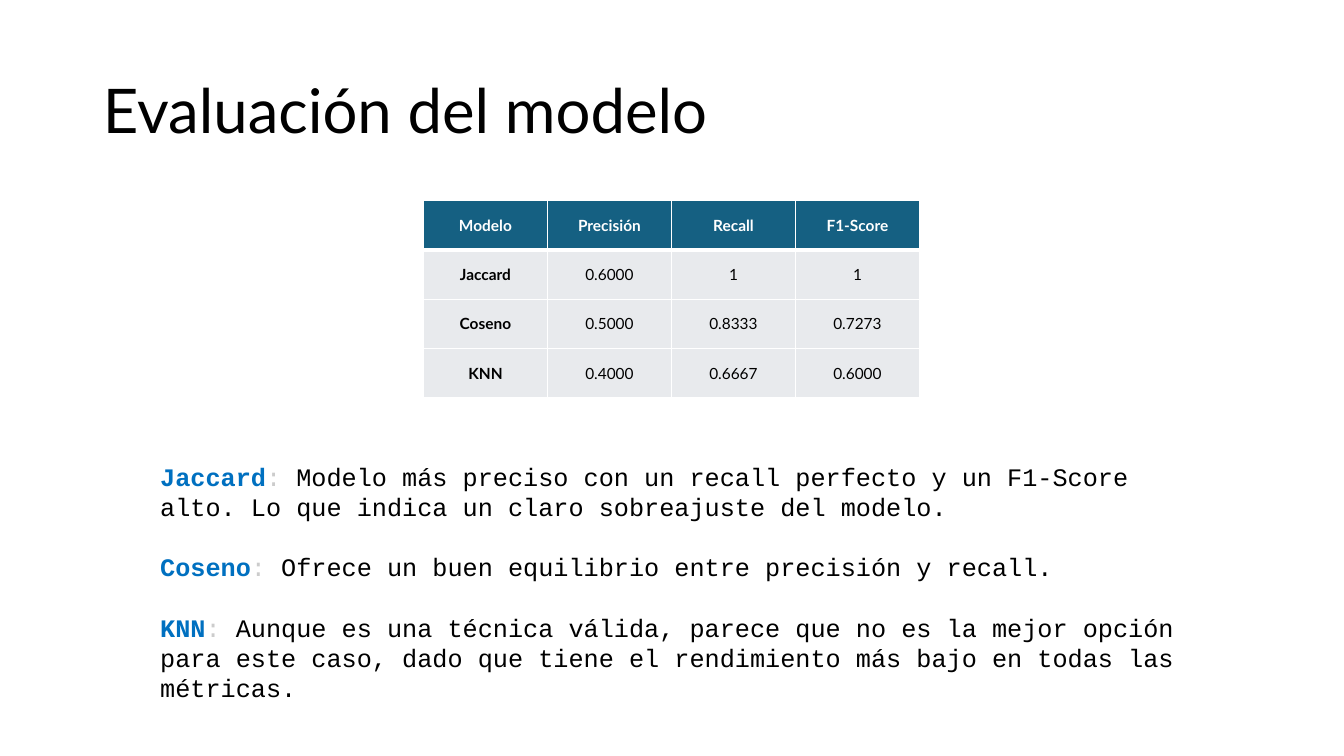
from lxml import etree
from pptx import Presentation
from pptx.dml.color import RGBColor
from pptx.enum.text import MSO_ANCHOR, PP_ALIGN
from pptx.oxml.ns import qn
from pptx.util import Inches, Pt

MIDDLE = MSO_ANCHOR.MIDDLE
LEFT, CENTER = PP_ALIGN.LEFT, PP_ALIGN.CENTER

BLACK = RGBColor(0x00, 0x00, 0x00)
WHITE = RGBColor(0xFF, 0xFF, 0xFF)
TEAL = RGBColor(0x15, 0x60, 0x82)
PALE_GRAY = RGBColor(0xE8, 0xEA, 0xED)
BLUE = RGBColor(0x00, 0x70, 0xC0)
SILVER = RGBColor(0xCC, 0xCC, 0xCC)

METRICS = [
    ("Modelo", "Precisión", "Recall", "F1-Score"),
    ("Jaccard", "0.6000", "1", "1"),
    ("Coseno", "0.5000", "0.8333", "0.7273"),
    ("KNN", "0.4000", "0.6667", "0.6000"),
]
FINDINGS = [
    ("Jaccard", "Modelo más preciso con un recall perfecto y un F1-Score alto. "
                "Lo que indica un claro sobreajuste del modelo."),
    ("Coseno", "Ofrece un buen equilibrio entre precisión y recall."),
    ("KNN", "Aunque es una técnica válida, parece que no es la mejor opción para este caso, "
            "dado que tiene el rendimiento más bajo en todas las métricas."),
]


class EvaluationSlide:
    heading_font = "Lato"
    findings_font = "Courier New"
    findings_pitch = Pt(21.5)

    def __init__(self, presentation):
        self.slide = presentation.slides.add_slide(presentation.slide_layouts[5])

    def style(self, run, font, size, color, bold=False):
        run.font.name = font
        run.font.size = Pt(size)
        run.font.bold = bold
        run.font.color.rgb = color

    def title(self, text, left, top, width, height):
        heading = self.slide.shapes.title
        heading.left, heading.top = Inches(left), Inches(top)
        heading.width, heading.height = Inches(width), Inches(height)
        frame = heading.text_frame
        frame.text = text
        frame.vertical_anchor = MIDDLE
        line = frame.paragraphs[0]
        line.alignment = LEFT
        line.line_spacing = 0.9
        self.style(line.runs[0], self.heading_font, 44, BLACK)

    def border(self, cell, widths):
        """Draw white borders; widths gives points for each side, L R T B."""
        properties = cell._tc.get_or_add_tcPr()
        for position, (side, width) in enumerate(zip("LRTB", widths)):
            edge = etree.Element(qn(f"a:ln{side}"), w=str(Pt(width)))
            fill = etree.SubElement(edge, qn("a:solidFill"))
            etree.SubElement(fill, qn("a:srgbClr"), val=str(WHITE))
            properties.insert(position, edge)

    def table(self, rows, left, top, column_width, row_height):
        column_count = len(rows[0])
        metrics = self.slide.shapes.add_table(
            len(rows), column_count, Inches(left), Inches(top),
            Inches(column_width * column_count), Inches(row_height * len(rows))).table
        for r, values in enumerate(rows):
            for c, value in enumerate(values):
                self.cell(metrics.cell(r, c), value, r, c)

    def cell(self, cell, value, row, column):
        header = row == 0
        cell.text_frame.text = value
        cell.vertical_anchor = MIDDLE
        cell.margin_left = cell.margin_right = cell.margin_top = cell.margin_bottom = 0
        cell.fill.solid()
        cell.fill.fore_color.rgb = TEAL if header else PALE_GRAY
        self.border(cell, (1, 1, 3 if row == 1 else 1, 3 if header else 1))
        line = cell.text_frame.paragraphs[0]
        line.alignment = CENTER
        self.style(line.runs[0], self.heading_font, 11, WHITE if header else BLACK,
                   bold=header or column == 0)

    def findings(self, items, left, top, width, height):
        frame = self.slide.shapes.add_textbox(
            Inches(left), Inches(top), Inches(width), Inches(height)).text_frame
        frame.word_wrap = True
        for i, (model, verdict) in enumerate(items):
            line = frame.add_paragraph() if i else frame.paragraphs[0]
            line.line_spacing = self.findings_pitch
            line.space_before = self.findings_pitch if i else Pt(0)
            for text, color in ((model, BLUE), (": ", SILVER), (verdict, BLACK)):
                run = line.add_run()
                run.text = text
                self.style(run, self.findings_font, 18, color, bold=color == BLUE)


def main():
    presentation = Presentation()
    presentation.slide_width, presentation.slide_height = Inches(13.33), Inches(7.5)
    evaluation = EvaluationSlide(presentation)

    # Heading
    evaluation.title("Evaluación del modelo", 0.92, 0.4, 11.5, 1.45)

    # Metrics for each model
    evaluation.table(METRICS, 4.2, 1.99, 1.23, 0.49)

    # Reading of the results
    evaluation.findings(FINDINGS, 1.49, 4.53, 10.35, 2.52)

    presentation.save("out.pptx")


if __name__ == "__main__":
    main()
